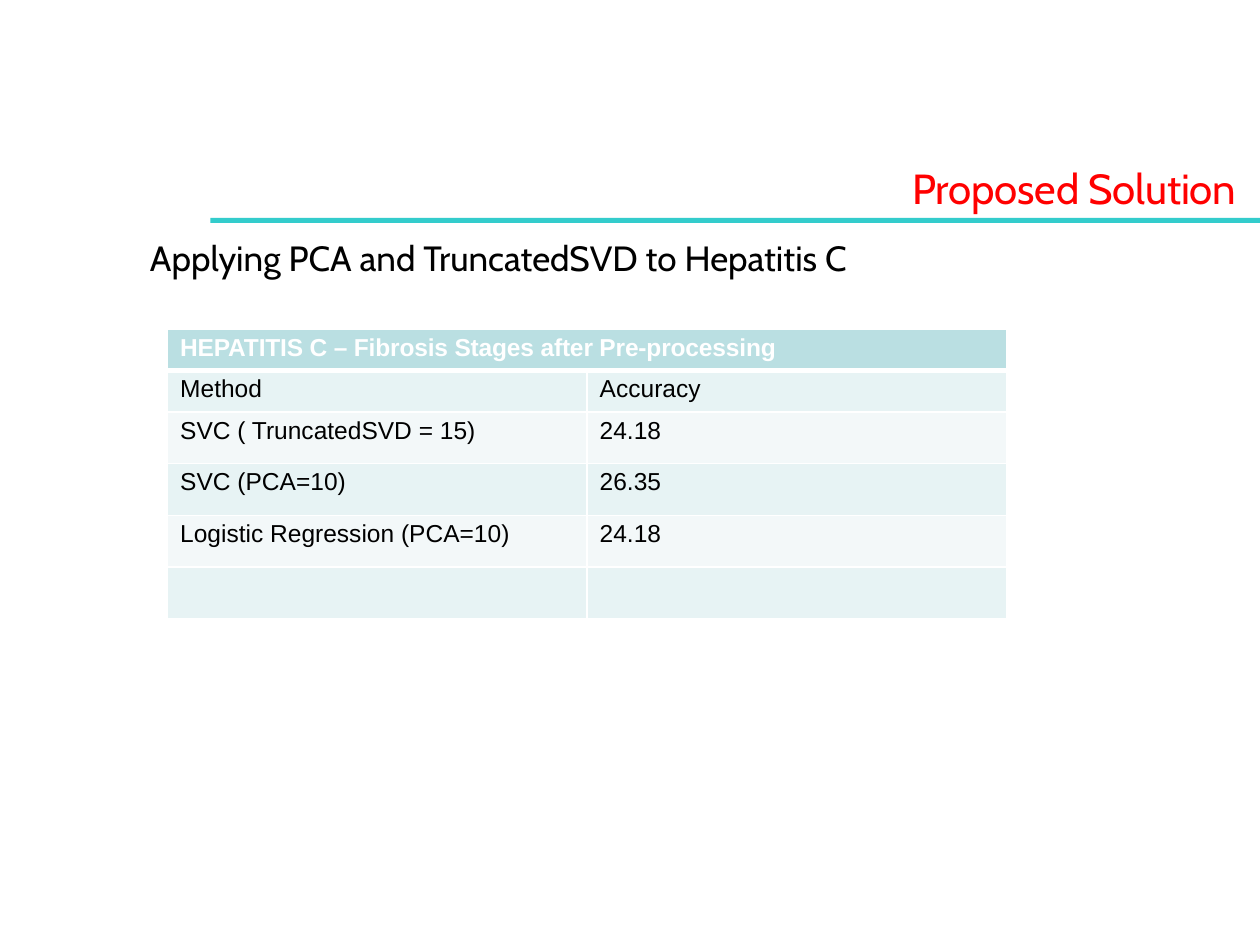
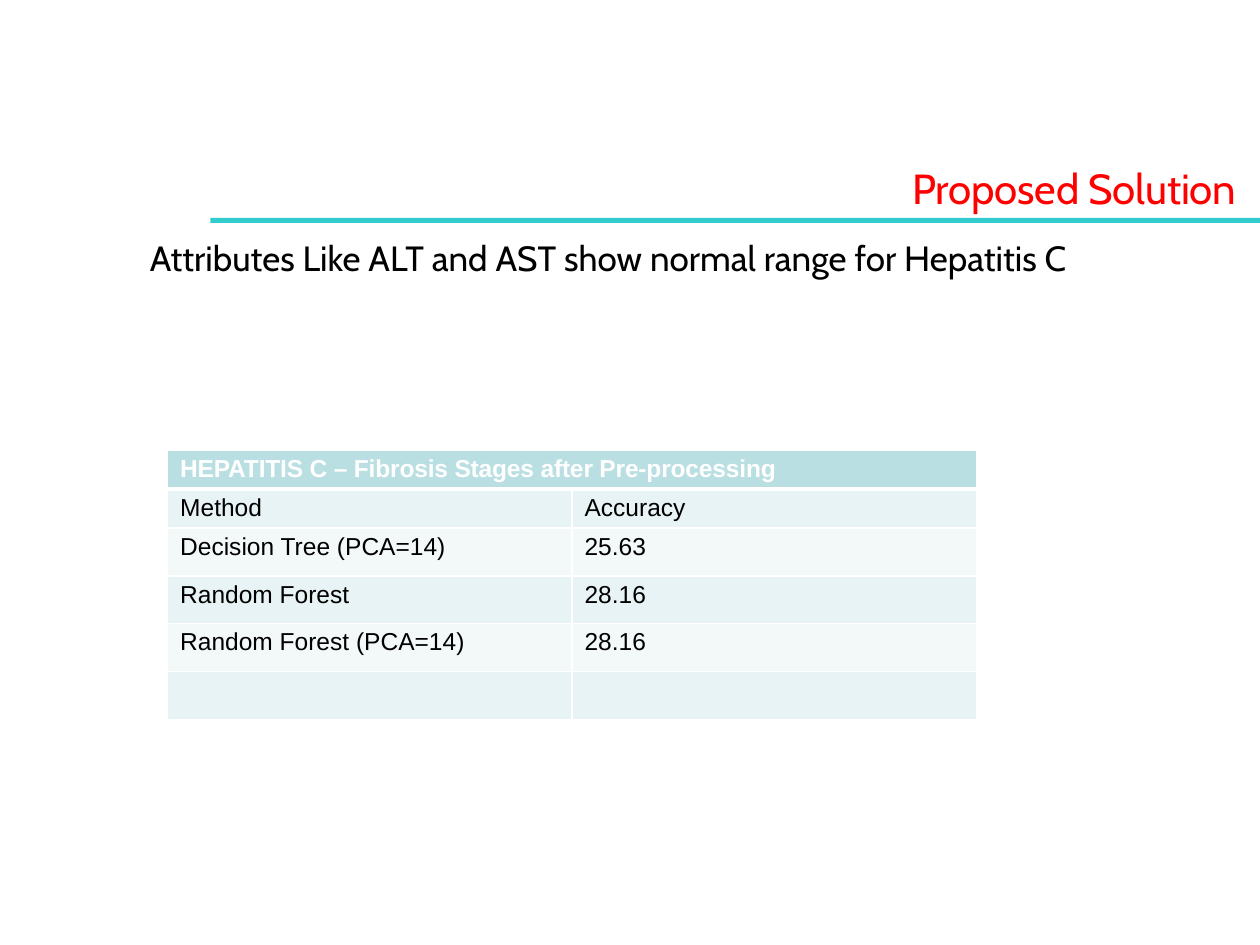
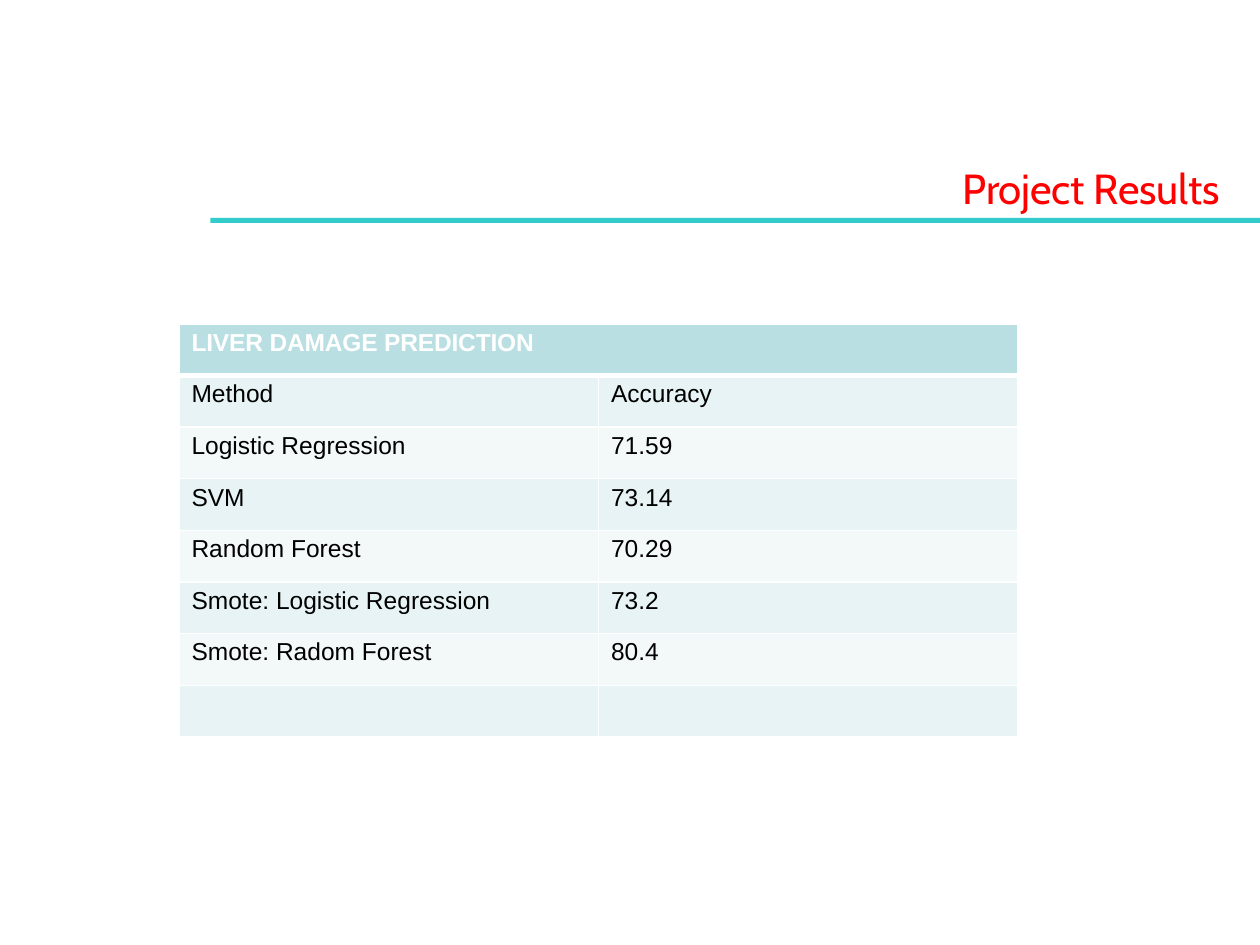
from dataclasses import dataclass

from lxml import etree
from pptx import Presentation
from pptx.dml.color import RGBColor
from pptx.enum.shapes import MSO_SHAPE
from pptx.enum.text import MSO_ANCHOR, MSO_AUTO_SIZE, PP_ALIGN
from pptx.oxml.ns import qn
from pptx.slide import Slide
from pptx.table import _Cell
from pptx.text.text import TextFrame
from pptx.util import Inches, Pt

RECTANGLE = MSO_SHAPE.RECTANGLE
TOP = MSO_ANCHOR.TOP
LEFT = PP_ALIGN.LEFT
FIT_SHAPE = MSO_AUTO_SIZE.SHAPE_TO_FIT_TEXT

TITLE_ONLY_LAYOUT = 5
HEADING_FONT, TABLE_FONT = "Cabin", "Arial"
RED, TEAL, BLACK, WHITE = "FF0000", "33CCCC", "000000", "FFFFFF"
HEADER_FILL = "BADFE2"
BAND_FILLS = ("F3F8F9", "E7F3F4")
THIN, THICK = 1, 3
TIGHT = -10  # letter spacing in hundredths of a point


@dataclass
class TextStyle:
    font: str
    size: float
    color: str
    space_before: float
    bold: bool = False
    spacing: int = 0


TITLE_STYLE = TextStyle(HEADING_FONT, 24, RED, 1, spacing=TIGHT)
SUBTITLE_STYLE = TextStyle(HEADING_FONT, 20, BLACK, 5.1)
HEADER_STYLE = TextStyle(TABLE_FONT, 14, WHITE, 3.2, bold=True, spacing=TIGHT)
CELL_STYLE = TextStyle(TABLE_FONT, 14, BLACK, 3.2)


@dataclass
class ResultTable:
    heading: str
    scores: list[tuple[str, str]]
    left: float
    top: float
    column_width: float
    head_height: float  # heading row and column-name row
    row_height: float


@dataclass
class ResultPage:
    title: str
    title_left: float
    title_width: float
    title_indent: float
    table: ResultTable
    subtitle: str = ""


PAGES = [
    ResultPage(
        "Proposed Solution", 0.09, 9.83, 7.15,
        ResultTable(
            "HEPATITIS C – Fibrosis Stages after Pre-processing",
            [
                ("SVC ( TruncatedSVD = 15)", "24.18"),
                ("SVC (PCA=10)", "26.35"),
                ("Logistic Regression (PCA=10)", "24.18"),
            ],
            1.33, 2.61, 3.33, 0.33, 0.41,
        ),
        "Applying PCA and TruncatedSVD to Hepatitis C",
    ),
    ResultPage(
        "Proposed Solution", 0.09, 9.83, 7.15,
        ResultTable(
            "HEPATITIS C – Fibrosis Stages after Pre-processing",
            [
                ("Decision Tree (PCA=14)", "25.63"),
                ("Random Forest", "28.16"),
                ("Random Forest (PCA=14)", "28.16"),
            ],
            1.33, 3.57, 3.21, 0.31, 0.38,
        ),
        "Attributes Like ALT and AST show normal range for Hepatitis C",
    ),
    ResultPage(
        "Project Results", 7.63, 2.28, 0.01,
        ResultTable(
            "LIVER DAMAGE PREDICTION",
            [
                ("Logistic Regression", "71.59"),
                ("SVM", "73.14"),
                ("Random Forest", "70.29"),
                ("Smote: Logistic Regression", "73.2"),
                ("Smote: Radom Forest", "80.4"),
            ],
            1.42, 2.57, 3.33, 0.41, 0.41,
        ),
    ),
]


def rgb(color: str) -> RGBColor:
    return RGBColor.from_string(color)


def write(frame: TextFrame, text: str, style: TextStyle) -> None:
    frame.text = text
    para = frame.paragraphs[0]
    para.alignment = LEFT
    para.space_before = Pt(style.space_before)
    for span in para.runs:
        span.font.name = style.font
        span.font.size = Pt(style.size)
        span.font.bold = style.bold
        span.font.color.rgb = rgb(style.color)
        span.font._element.set("spc", str(style.spacing))


def set_frame(frame: TextFrame, left: float, top: float) -> None:
    frame.margin_left, frame.margin_top = Inches(left), Inches(top)
    frame.margin_right = frame.margin_bottom = 0
    frame.vertical_anchor = TOP
    frame.word_wrap = True
    frame.auto_size = FIT_SHAPE


def add_heading(slide: Slide, page: ResultPage) -> None:
    # Teal rule below the title
    rule = slide.shapes.add_shape(
        RECTANGLE, Inches(1.67), Inches(1.73), Inches(8.33), Inches(0.04))
    rule.shadow.inherit = False
    rule.fill.solid()
    rule.fill.fore_color.rgb = rgb(TEAL)
    rule.line.fill.background()

    # Title
    title = slide.shapes.title
    title.left, title.top = Inches(page.title_left), Inches(1.28)
    title.width, title.height = Inches(page.title_width), Inches(0.43)
    set_frame(title.text_frame, page.title_indent, 0.01)
    write(title.text_frame, page.title, TITLE_STYLE)

    # Subtitle
    if page.subtitle:
        box = slide.shapes.add_textbox(
            Inches(0.67), Inches(1.81), Inches(8.75), Inches(0.41))
        set_frame(box.text_frame, 0.52, 0.07)
        write(box.text_frame, page.subtitle, SUBTITLE_STYLE)


def set_borders(cell: _Cell, top: float, bottom: float) -> None:
    properties = cell._tc.get_or_add_tcPr()
    sides = {"a:lnL": THIN, "a:lnR": THIN, "a:lnT": top, "a:lnB": bottom}
    for position, (tag, width) in enumerate(sides.items()):
        line = etree.Element(qn(tag), w=str(Pt(width)))
        fill = etree.SubElement(line, qn("a:solidFill"))
        etree.SubElement(fill, qn("a:srgbClr"), val=WHITE)
        properties.insert(position, line)


def add_result_table(slide: Slide, content: ResultTable) -> None:
    rows = [(content.heading, ""), ("Method", "Accuracy"), *content.scores, ("", "")]
    heights = [content.head_height] * 2 + [content.row_height] * (len(rows) - 2)
    table = slide.shapes.add_table(
        len(rows), 2, Inches(content.left), Inches(content.top),
        Inches(2 * content.column_width), Inches(sum(heights))).table
    table.first_row = table.horz_banding = False
    for column in table.columns:
        column.width = Inches(content.column_width)

    for index, (texts, height) in enumerate(zip(rows, heights)):
        table.rows[index].height = Inches(height)
        is_header = index == 0
        for cell, text in zip(table.rows[index].cells, texts):
            cell.margin_left, cell.margin_top = Inches(0.1), Inches(0.04)
            cell.margin_right = cell.margin_bottom = 0
            cell.fill.solid()
            cell.fill.fore_color.rgb = rgb(HEADER_FILL if is_header else BAND_FILLS[index % 2])
            set_borders(cell, THICK if index == 1 else THIN, THICK if is_header else THIN)
            if text:
                write(cell.text_frame, text, HEADER_STYLE if is_header else CELL_STYLE)
    table.cell(0, 0).merge(table.cell(0, 1))


def main() -> None:
    deck = Presentation()
    deck.slide_width, deck.slide_height = Inches(10), Inches(7.5)
    for page in PAGES:
        slide = deck.slides.add_slide(deck.slide_layouts[TITLE_ONLY_LAYOUT])
        add_heading(slide, page)
        add_result_table(slide, page.table)
    deck.save("out.pptx")


if __name__ == "__main__":
    main()
